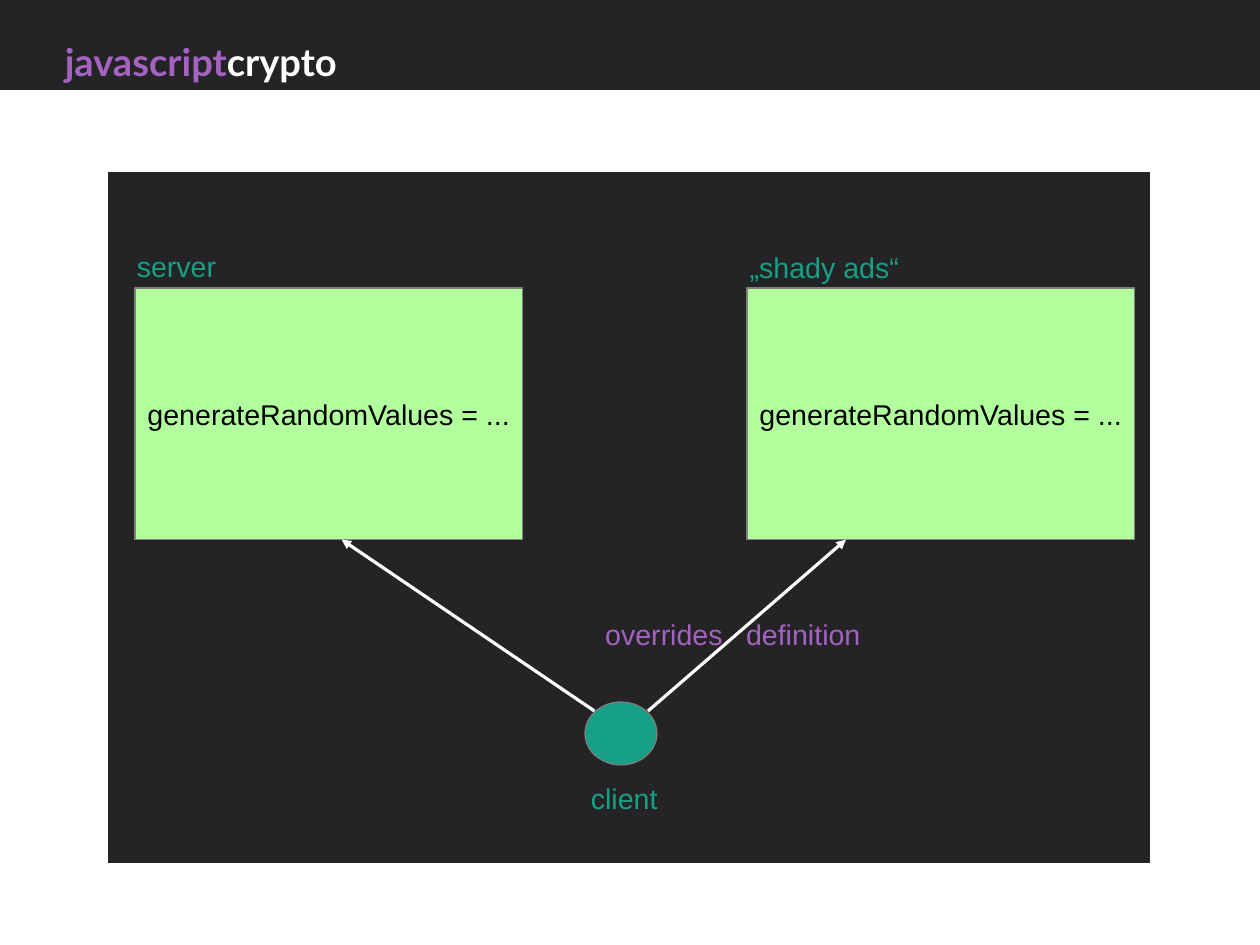
from lxml.etree import SubElement
from pptx import Presentation
from pptx.dml.color import RGBColor
from pptx.enum.shapes import MSO_CONNECTOR, MSO_SHAPE
from pptx.enum.text import MSO_ANCHOR as Anchor, PP_ALIGN as Align
from pptx.oxml.ns import qn
from pptx.util import Cm, Pt

DARK, WHITE, BLACK, GREY = "242426", "FFFFFF", "000000", "808080"
PURPLE, TEAL, LIME = "A563C1", "16A085", "B2FF9E"


def paint(color_format, color):
    color_format.rgb = RGBColor.from_string(color)


def add_run(paragraph, text, color, size=18, font="Arial", bold=False):
    run = paragraph.add_run()
    run.text = text
    run.font.name = font
    run.font.size = Pt(size)
    run.font.bold = bold
    paint(run.font.color, color)


def add_block(slide, kind, left, top, width, height, fill, outline=None):
    block = slide.shapes.add_shape(kind, Cm(left), Cm(top), Cm(width), Cm(height))
    block.shadow.inherit = False
    block.fill.solid()
    paint(block.fill.fore_color, fill)
    if outline:
        paint(block.line.color, outline)
        block.line.width = Pt(0)
    else:
        block.line.fill.background()
    return block


def add_label(slide, left, top, width, runs, height=0.97, **style):
    label = slide.shapes.add_textbox(Cm(left), Cm(top), Cm(width), Cm(height))
    label.text_frame.word_wrap = True
    paragraph = label.text_frame.paragraphs[0]
    for text, color in runs:
        add_run(paragraph, text, color, **style)
    return paragraph


def add_tab_stop(paragraph, position):
    tabs = SubElement(paragraph._p.get_or_add_pPr(), qn("a:tabLst"))
    SubElement(tabs, qn("a:tab"), pos=str(Cm(position)), algn="l")


def add_script_box(slide, left):
    box = add_block(slide, MSO_SHAPE.RECTANGLE, left, 6.4, 8.61, 5.59, LIME, GREY)
    frame = box.text_frame
    frame.word_wrap = False
    frame.vertical_anchor = Anchor.MIDDLE
    paragraph = frame.paragraphs[0]
    paragraph.alignment = Align.CENTER
    add_run(paragraph, "generateRandomValues = ...", BLACK)


def add_arrow(slide, start_x, end_x):
    arrow = slide.shapes.add_connector(
        MSO_CONNECTOR.STRAIGHT, Cm(start_x), Cm(15.8), Cm(end_x), Cm(11.99))
    paint(arrow.line.color, WHITE)
    arrow.line.width = Pt(0)
    SubElement(arrow.line._get_or_add_ln(), qn("a:tailEnd"), type="triangle")
    SubElement(arrow._element.spPr, qn("a:effectLst"))


def main():
    deck = Presentation()
    deck.slide_width, deck.slide_height = Cm(28), Cm(21)
    slide = deck.slides.add_slide(deck.slide_layouts[6])

    # Diagram panel and header bar with title
    add_block(slide, MSO_SHAPE.RECTANGLE, 2.39, 3.81, 23.19, 15.39, DARK, WHITE)
    add_block(slide, MSO_SHAPE.RECTANGLE, 0, 0, 28, 2, DARK)
    add_label(slide, 1.19, 0.74, 8, [("javascript", PURPLE), ("crypto", WHITE)],
              height=1.27, size=24, font="Lato", bold=True)

    # Client
    add_block(slide, MSO_SHAPE.OVAL, 13, 15.6, 1.6, 1.4, TEAL, GREY)

    # The two script sources, each with an arrow from the client
    sources = [("server", 2.79, 5.41, 3, 13.21, 7.59),
               ("„shady ads“", 16.41, 5.44, 16.6, 14.4, 18.8)]
    for name, label_left, label_top, box_left, arrow_start, arrow_end in sources:
        add_label(slide, label_left, label_top, 5.59, [(name, TEAL)])
        add_script_box(slide, box_left)
        add_arrow(slide, arrow_start, arrow_end)

    # Client caption and note on either side of the right arrow
    add_label(slide, 12.88, 17.22, 7, [("client", TEAL)])
    note = add_label(slide, 13.2, 13.59, 6.4, [("overrides\tdefinition", PURPLE)])
    add_tab_stop(note, 3.13)

    deck.save("out.pptx")


if __name__ == "__main__":
    main()
